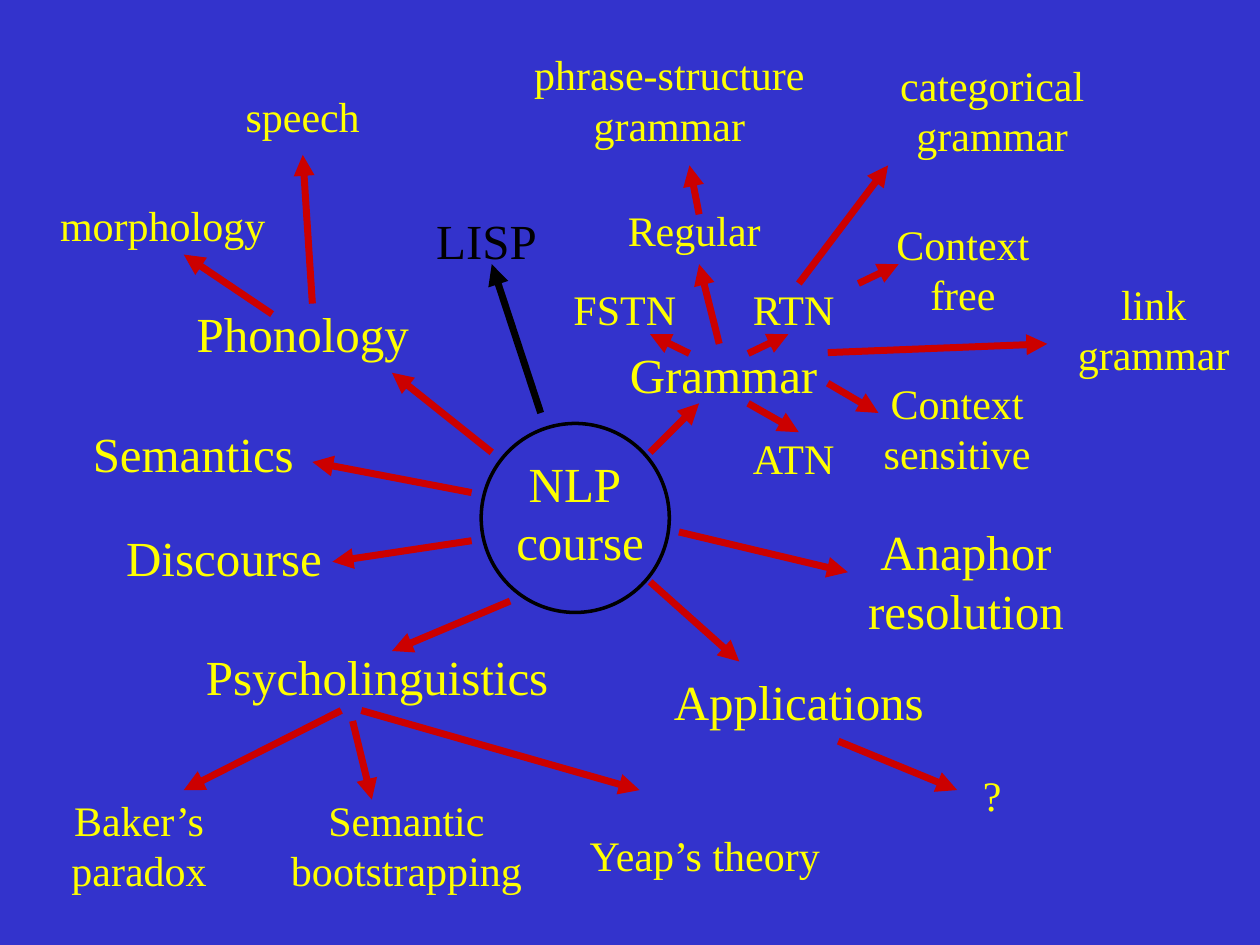
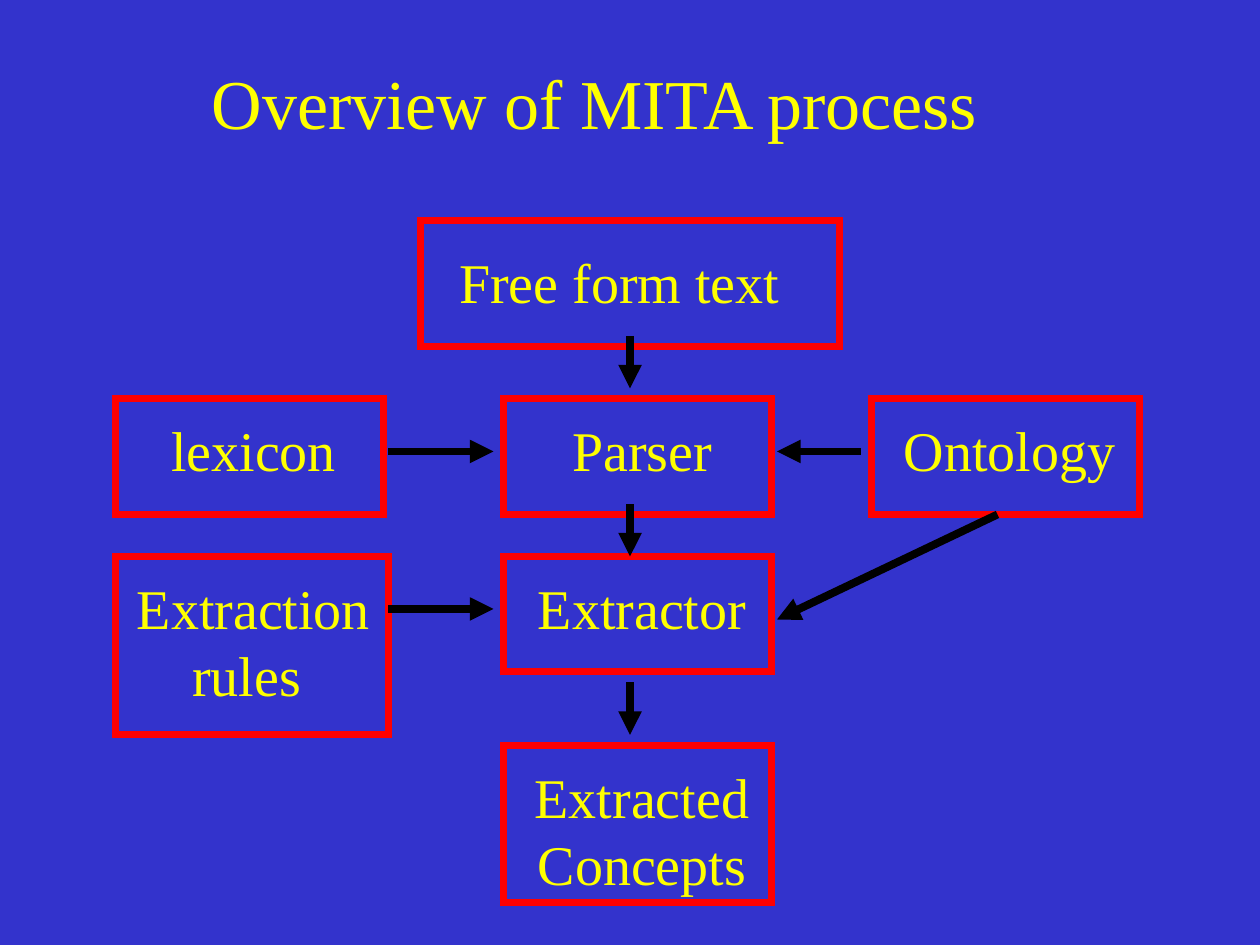
from lxml import etree
from pptx import Presentation
from pptx.dml.color import RGBColor
from pptx.enum.shapes import MSO_CONNECTOR, MSO_SHAPE
from pptx.enum.text import MSO_ANCHOR, MSO_AUTO_SIZE, PP_ALIGN
from pptx.oxml.ns import qn
from pptx.util import Pt

BLUE = RGBColor(0x33, 0x33, 0xCC)
YELLOW = RGBColor(0xFF, 0xFF, 0x00)
BLACK = RGBColor(0x00, 0x00, 0x00)
DARK_RED = RGBColor(0xCC, 0x00, 0x00)
RED = RGBColor(0xFF, 0x00, 0x00)
FONT = "Times New Roman"
LEFT, CENTER = PP_ALIGN.LEFT, PP_ALIGN.CENTER
TOP, MIDDLE = MSO_ANCHOR.TOP, MSO_ANCHOR.MIDDLE
FIXED, GROW = MSO_AUTO_SIZE.NONE, MSO_AUTO_SIZE.SHAPE_TO_FIT_TEXT
STRAIGHT = MSO_CONNECTOR.STRAIGHT
RECTANGLE, OVAL = MSO_SHAPE.RECTANGLE, MSO_SHAPE.OVAL


def add_text(s, text, box, size=24, color=YELLOW, align=CENTER, anchor=MIDDLE, wrap=True):
    """Add a text box; an unwrapped one grows to fit its text."""
    tf = s.shapes.add_textbox(*map(Pt, box)).text_frame
    tf.word_wrap = wrap
    tf.auto_size = FIXED if wrap else GROW
    tf.vertical_anchor = anchor
    tf.text = text
    for p in tf.paragraphs:
        p.alignment = align
        for r in p.runs:
            r.font.name = FONT
            r.font.size = Pt(size)
            r.font.color.rgb = color


def add_arrow(s, ends, color=DARK_RED, width=4):
    line = s.shapes.add_connector(STRAIGHT, *map(Pt, ends))
    line.line.color.rgb = color
    line.line.width = Pt(width)
    spPr = line._element.spPr
    etree.SubElement(spPr.find(qn("a:ln")), qn("a:tailEnd"), type="triangle")
    etree.SubElement(spPr, qn("a:effectLst"))


prs = Presentation()
prs.slide_width, prs.slide_height = Pt(720), Pt(540)
mind_map, process = [prs.slides.add_slide(prs.slide_layouts[6]) for _ in range(2)]
for s in (mind_map, process):
    s.background.fill.solid()
    s.background.fill.fore_color.rgb = BLUE

# Slide 1: course mind map
s = mind_map
add_text(s, "NLP \vcourse", (263.5, 247.5, 136, 90), size=28)
hub = s.shapes.add_shape(OVAL, Pt(275), Pt(242), Pt(107.5), Pt(108))
hub.shadow.inherit = False
hub.fill.background()
hub.line.color.rgb = BLACK
hub.line.width = Pt(2)

topics = [
    ("Grammar", (348.5, 185, 130, 57)),
    ("Psycholinguistics", (105, 355, 221, 62)),
    ("Applications", (377.5, 367, 158, 67)),
    ("Anaphor resolution", (473, 298, 158, 67)),
    ("Discourse", (60, 287.5, 136, 62)),
    ("Semantics", (42.5, 230.5, 136, 57)),
    ("Phonology", (105, 162, 136, 57)),
]
for text, box in topics:
    add_text(s, text, box, size=28)
add_text(s, "LISP", (235.5, 111.5, 85, 51), size=28, color=BLACK)

subtopics = [
    ("FSTN", (314.5, 151, 85, 51)),
    ("RTN", (411, 151, 85, 51)),
    ("ATN", (411, 236, 85, 51)),
    ("Regular", (348.5, 106, 96.5, 51)),
    ("Context sensitive", (490.5, 219, 113, 51)),
    ("Context free", (502, 128, 96.5, 51)),
    ("phrase-structure grammar", (297.5, 20, 170, 73.5)),
    ("link grammar", (598.5, 151, 121.5, 73.5)),
    ("categorical grammar", (496, 26, 142, 73.5)),
    ("Baker’s paradox", (14.5, 457, 130, 51)),
    ("Semantic bootstrapping", (155.5, 457, 153.5, 51)),
    ("Yeap’s theory", (326, 463, 153.5, 51)),
    ("?", (541.5, 428.5, 51, 51)),
    ("morphology", (25, 100, 136, 57)),
    ("speech", (127.5, 37.5, 91, 57)),
]
for text, box in subtopics:
    add_text(s, text, box)

branches = [
    # from the hub
    (371.5, 258.5, 399.5, 230.5), (291.5, 343.5, 224, 372), (371.5, 332.5, 422.5, 378),
    (388, 304, 484.5, 327), (269.5, 281.5, 178.5, 264), (269.5, 309, 190, 321),
    (281, 258.5, 224, 213),
    # from Grammar
    (394, 202, 371.5, 191), (427.5, 202, 450.5, 191), (427.5, 230.5, 456.5, 247),
    (490.5, 162, 513.5, 151), (411, 196.5, 399.5, 151), (473, 219, 502, 236),
    (399.5, 122.5, 394, 94.5), (456.5, 162, 507.5, 94.5), (473, 201.5, 598.5, 196.5),
    # from Psycholinguistics
    (195, 406, 105, 451.5), (206.5, 406, 365.5, 451.5), (201.5, 412, 212.5, 457),
    # from Applications
    (479, 423.5, 547, 451.5),
    # from Phonology
    (155.5, 179.5, 105, 145.5), (178.5, 173.5, 173, 88.5),
]
for ends in branches:
    add_arrow(s, ends)
add_arrow(s, (309, 236, 281, 151), color=BLACK)

# Slide 2: process diagram
s = process
add_text(s, "Overview of MITA process", (114, 30, 504, 55.5), size=40, align=LEFT)

steps = [
    ("Free form text", (246, 138, 216, 46), (240, 126, 240, 72)),
    ("Parser ", (316, 234, 102, 46), (288, 228, 153, 66)),
    ("Extractor ", (296.5, 324, 141, 46), (288, 318, 153, 66)),
    ("Extracted\nConcepts ", (296.5, 432, 141, 84), (288, 426, 153, 90)),
    ("lexicon", (90.5, 234, 109, 46), (66, 228, 153, 66)),
    ("Ontology ", (505.5, 234, 143, 46), (498, 228, 153, 66)),
    ("Extraction\nrules ", (70, 324, 150, 84), (66, 318, 156, 102)),
]
for text, text_box, frame_box in steps:
    add_text(s, text, text_box, size=32, anchor=TOP, wrap=False)
    frame = s.shapes.add_shape(RECTANGLE, *map(Pt, frame_box))
    frame.shadow.inherit = False
    frame.fill.background()
    frame.line.color.rgb = RED
    frame.line.width = Pt(4)
    ln = frame._element.spPr.find(qn("a:ln"))
    etree.SubElement(ln, qn("a:miter"), lim="800000")

flows = [
    (360, 192, 360, 222), (360, 288, 360, 318), (360, 390, 360, 420),
    (222, 258, 282, 258), (222, 348, 282, 348),
    (492, 258, 444, 258), (570, 294, 444, 354),
]
for ends in flows:
    add_arrow(s, ends, color=BLACK, width=4.5)

prs.save("out.pptx")
